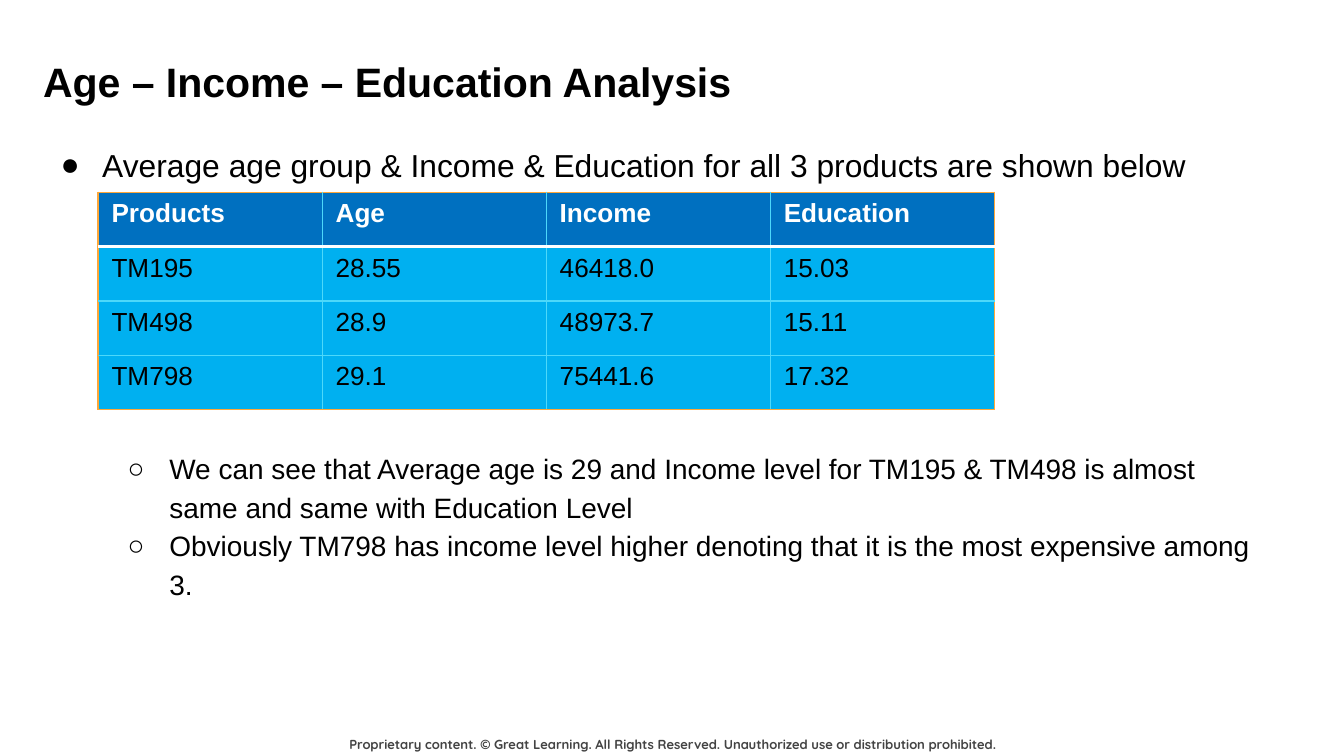
from lxml.etree import SubElement
from pptx import Presentation
from pptx.dml.color import RGBColor
from pptx.enum.text import MSO_ANCHOR, MSO_AUTO_SIZE, PP_ALIGN
from pptx.oxml.ns import qn
from pptx.util import Inches, Pt

BLACK = RGBColor(0x00, 0x00, 0x00)
WHITE = RGBColor(0xFF, 0xFF, 0xFF)
GRAY = RGBColor(0x43, 0x43, 0x43)
HEADER_BLUE = RGBColor(0x00, 0x70, 0xC0)
ROW_BLUE = RGBColor(0x00, 0xB0, 0xF0)
GRID_CYAN = RGBColor(0x4D, 0xD8, 0xFA)
ORANGE = RGBColor(0xFE, 0xA8, 0x3A)


def add_run(paragraph, text, size, color, bold=False, font="Arial"):
    run = paragraph.add_run()
    run.text = text
    run.font.name = font
    run.font.size = Pt(size)
    run.font.bold = bold
    run.font.color.rgb = color


def add_border(cell, side, color, width):
    """Draw one cell border; side is L, R, T or B, called in that order."""
    properties = cell._tc.get_or_add_tcPr()
    line = SubElement(properties, qn(f"a:ln{side}"), w=str(Pt(width)))
    fill = SubElement(line, qn("a:solidFill"))
    SubElement(fill, qn("a:srgbClr"), val=str(color))


presentation = Presentation()
presentation.slide_width = Inches(10)
presentation.slide_height = Inches(10) * 9 // 16  # widescreen
slide = presentation.slides.add_slide(presentation.slide_layouts[1])

# Title, body and footer frames
title = slide.shapes.title
title.left, title.top = Inches(0.22), Inches(0.32)
title.width, title.height = Inches(9.32), Inches(0.63)
body = slide.placeholders[1]
body.left, body.top = Inches(0.22), Inches(0.94)
body.width, body.height = Inches(9.32), Inches(4.05)
footer = slide.shapes.add_textbox(Inches(2.45), Inches(5.38), Inches(5.11), Inches(0.3))
for shape in (title, body, footer):
    frame = shape.text_frame
    frame.word_wrap = True
    frame.auto_size = MSO_AUTO_SIZE.NONE
    frame.vertical_anchor = MSO_ANCHOR.TOP
    frame.margin_left = frame.margin_right = Inches(0.1)
    frame.margin_top = frame.margin_bottom = Inches(0.1)

paragraph = title.text_frame.paragraphs[0]
paragraph.alignment = PP_ALIGN.LEFT
add_run(paragraph, "Age – Income – Education Analysis", 22, BLACK, bold=True)

paragraph = footer.text_frame.paragraphs[0]
paragraph.alignment = PP_ALIGN.CENTER
paragraph.line_spacing = 1.02
add_run(
    paragraph,
    "Proprietary content. © Great Learning. All Rights Reserved. "
    "Unauthorized use or distribution prohibited.",
    7, GRAY, bold=True, font="Quicksand",
)

# Bullets: level, space before (leaves room for the table), text
bullets = [
    (0, 0, "Average age group & Income & Education for all 3 products are shown below"),
    (1, 141, "We can see that Average age is 29 and Income level for TM195 & TM498 "
             "is almost same and same with Education Level"),
    (1, 0, "Obviously TM798 has income level higher denoting that it is the most "
           "expensive among 3."),
]
level_styles = [("●", 0.44, 17), ("○", 0.94, 15)]
for index, (level, space_before, text) in enumerate(bullets):
    symbol, indent, size = level_styles[level]
    frame = body.text_frame
    paragraph = frame.paragraphs[0] if index == 0 else frame.add_paragraph()
    paragraph.level = level
    paragraph.line_spacing = 1.15
    paragraph.space_before = Pt(space_before)
    paragraph.space_after = Pt(0)
    properties = paragraph._p.get_or_add_pPr()
    properties.set("marL", str(Inches(indent)))
    properties.set("indent", str(Inches(-0.31)))
    bullet_color = SubElement(properties, qn("a:buClr"))
    SubElement(bullet_color, qn("a:srgbClr"), val=str(BLACK))
    SubElement(properties, qn("a:buFont"), typeface="Arial")
    SubElement(properties, qn("a:buChar"), char=symbol)
    add_run(paragraph, text, size, BLACK)

# Product table
product_rows = [
    ("Products", "Age", "Income", "Education"),
    ("TM195", "28.55", "46418.0", "15.03"),
    ("TM498", "28.9", "48973.7", "15.11"),
    ("TM798", "29.1", "75441.6", "17.32"),
]
last_row, last_column = len(product_rows) - 1, len(product_rows[0]) - 1
table = slide.shapes.add_table(
    len(product_rows), len(product_rows[0]),
    Inches(0.73), Inches(1.43), Inches(6.67), Inches(1.62),
).table
outer, inner, header_rule = (ORANGE, 0.75), (GRID_CYAN, 0.75), (WHITE, 2)
for row, values in enumerate(product_rows):
    is_header = row == 0
    for column, value in enumerate(values):
        cell = table.cell(row, column)
        top = outer if is_header else header_rule if row == 1 else inner
        bottom = header_rule if is_header else outer if row == last_row else inner
        add_border(cell, "L", *(outer if column == 0 else inner))
        add_border(cell, "R", *(outer if column == last_column else inner))
        add_border(cell, "T", *top)
        add_border(cell, "B", *bottom)
        cell.fill.solid()
        cell.fill.fore_color.rgb = HEADER_BLUE if is_header else ROW_BLUE
        add_run(cell.text_frame.paragraphs[0], value, 14,
                WHITE if is_header else BLACK, bold=is_header)

presentation.save("out.pptx")
